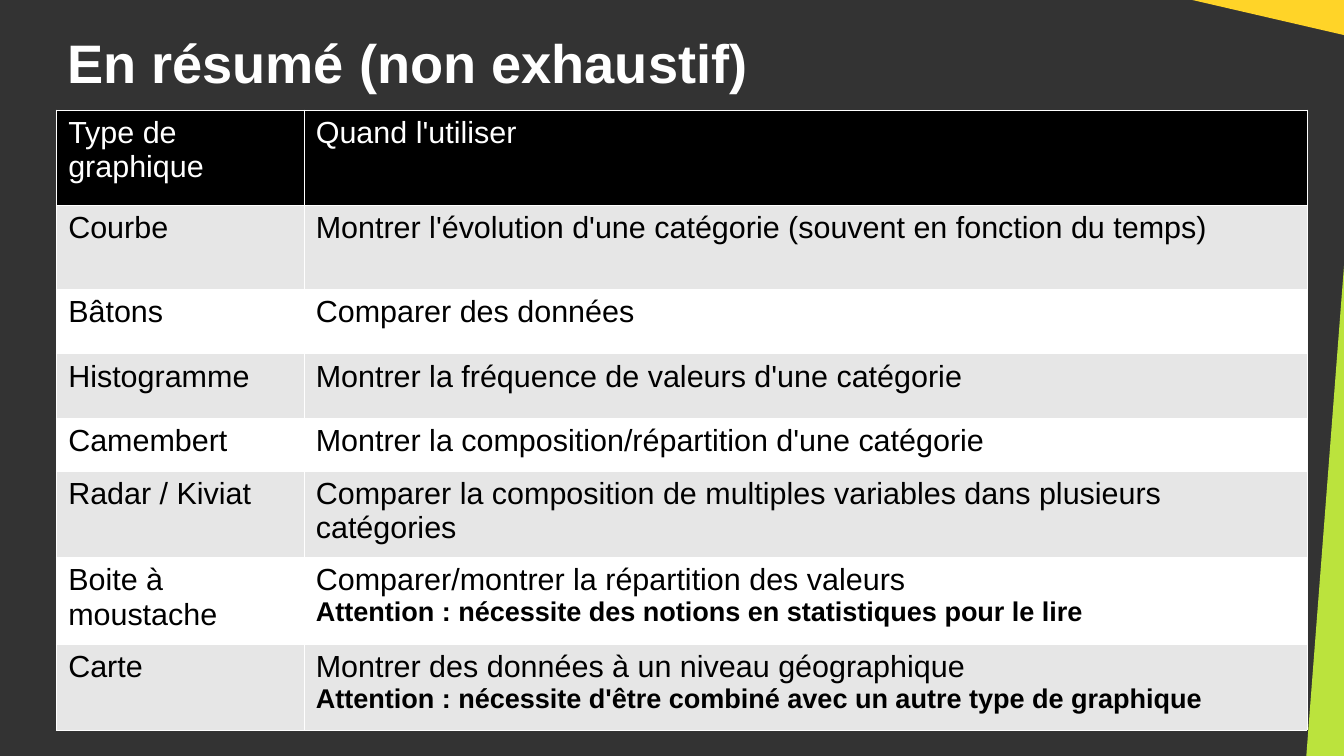
from lxml import etree
from pptx import Presentation
from pptx.dml.color import RGBColor
from pptx.enum.shapes import MSO_SHAPE as Shape
from pptx.enum.text import MSO_ANCHOR as Anchor
from pptx.oxml.ns import qn
from pptx.util import Inches, Pt

# Content
TITLE = "En résumé (non exhaustif)"
# Row height, chart type, use, warning
ROWS = [
    (0.78, "Type de graphique", "Quand l'utiliser", None),
    (0.69, "Courbe", "Montrer l'évolution d'une catégorie (souvent en fonction du temps)", None),
    (0.53, "Bâtons", "Comparer des données", None),
    (0.53, "Histogramme", "Montrer la fréquence de valeurs d'une catégorie", None),
    (0.43, "Camembert", "Montrer la composition/répartition d'une catégorie", None),
    (0.71, "Radar / Kiviat",
     "Comparer la composition de multiples variables dans plusieurs catégories", None),
    (0.71, "Boite à moustache", "Comparer/montrer la répartition des valeurs",
     "Attention : nécessite des notions en statistiques pour le lire"),
    (0.71, "Carte", "Montrer des données à un niveau géographique",
     "Attention : nécessite d'être combiné avec un autre type de graphique"),
]
COLUMNS = (2.03, 8.23)

# Colours and formats
WHITE = RGBColor(0xFF, 0xFF, 0xFF)
BLACK = RGBColor(0x00, 0x00, 0x00)
BAND = RGBColor(0xE6, 0xE6, 0xE6)
BACKGROUND = RGBColor(0x33, 0x33, 0x33)
GREEN = RGBColor(0xBB, 0xE3, 0x3D)
YELLOW = RGBColor(0xFF, 0xD4, 0x28)
TITLE_FONT = {"name": "Arial", "size": Pt(32), "bold": True}
BODY_FONT = {"name": "Arial", "size": Pt(18), "bold": False}
WARNING_FONT = {"name": "Arial", "size": Pt(16), "bold": True}
BORDER_WIDTH = Pt(0.06)


def write(paragraph, text, font_format, color):
    run = paragraph.add_run()
    run.text = text
    for name, value in font_format.items():
        setattr(run.font, name, value)
    run.font.color.rgb = color


def add_triangle(slide, box, rotation, color):
    shape = slide.shapes.add_shape(Shape.RIGHT_TRIANGLE, *map(Inches, box))
    shape.shadow.inherit = False
    shape.fill.solid()
    shape.fill.fore_color.rgb = color
    shape.line.fill.background()
    shape.element.spPr.xfrm.set("flipV", "1")
    shape.rotation = rotation


def add_borders(cell):
    properties = cell._tc.get_or_add_tcPr()
    for side in ("lnL", "lnR", "lnT", "lnB"):
        line = etree.SubElement(properties, qn(f"a:{side}"), w=str(BORDER_WIDTH))
        fill = etree.SubElement(line, qn("a:solidFill"))
        etree.SubElement(fill, qn("a:srgbClr"), val=str(WHITE))


def fill_cell(cell, lines, fill, color):
    add_borders(cell)
    cell.fill.solid()
    cell.fill.fore_color.rgb = fill
    cell.margin_left = cell.margin_right = Inches(0.1)
    cell.margin_top = cell.margin_bottom = Inches(0.05)
    frame = cell.text_frame
    for index, (text, font_format) in enumerate(lines):
        paragraph = frame.add_paragraph() if index else frame.paragraphs[0]
        write(paragraph, text, font_format, color)


def add_summary(slide):
    heights = [row[0] for row in ROWS]
    frame = slide.shapes.add_table(
        len(ROWS), len(COLUMNS), Inches(0.46), Inches(0.9),
        Inches(sum(COLUMNS)), Inches(sum(heights)))
    table = frame.table
    table.first_row = table.horz_banding = False
    for column, width in zip(table.columns, COLUMNS):
        column.width = Inches(width)
    for index, (height, kind, use, warning) in enumerate(ROWS):
        table.rows[index].height = Inches(height)
        fill = BLACK if index == 0 else BAND if index % 2 else WHITE
        color = WHITE if index == 0 else BLACK
        use_lines = [(use, BODY_FONT)]
        if warning:
            use_lines.append((warning, WARNING_FONT))
        for column, lines in enumerate(([(kind, BODY_FONT)], use_lines)):
            fill_cell(table.cell(index, column), lines, fill, color)


def main():
    presentation = Presentation()
    presentation.slide_width, presentation.slide_height = Inches(11.02), Inches(6.2)
    slide = presentation.slides.add_slide(presentation.slide_layouts[6])
    slide.background.fill.solid()
    slide.background.fill.fore_color.rgb = BACKGROUND

    # Green edge, behind the table
    add_triangle(slide, (10.71, 1.92, 0.33, 4.29), 180, GREEN)

    # Title
    title = slide.shapes.add_textbox(*map(Inches, (0.55, 0.25, 9.92, 0.51))).text_frame
    title.word_wrap = True
    title.vertical_anchor = Anchor.MIDDLE
    for side in ("left", "right", "top", "bottom"):
        setattr(title, f"margin_{side}", 0)
    write(title.paragraphs[0], TITLE, TITLE_FONT, WHITE)

    # Summary table and yellow corner
    add_summary(slide)
    add_triangle(slide, (10.11, -0.68, 0.37, 1.6), 90, YELLOW)
    presentation.save("out.pptx")


if __name__ == "__main__":
    main()
